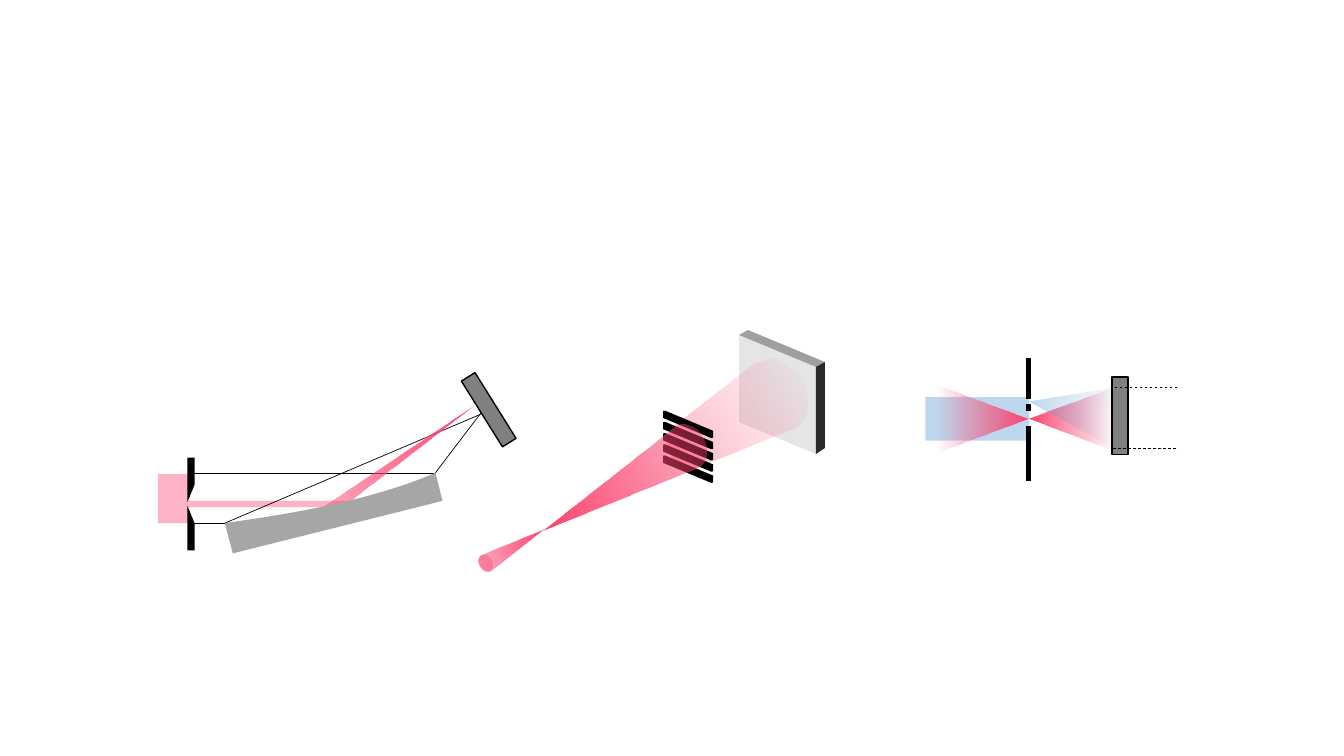
from math import cos, radians, sin
from lxml.etree import SubElement
from pptx import Presentation
from pptx.dml.color import RGBColor
from pptx.enum.dml import MSO_LINE as Dash
from pptx.enum.shapes import MSO_CONNECTOR, MSO_SHAPE as Preset
from pptx.oxml.ns import qn
from pptx.util import Pt

ROSE = RGBColor(0xFC, 0x42, 0x6E)
BLUE = RGBColor(0x5B, 0x9B, 0xD5)
BLACK = RGBColor(0, 0, 0)
DARK = RGBColor(0x2A, 0x2A, 0x2A)
GREY = RGBColor(0x80, 0x80, 0x80)
MIRROR_GREY = RGBColor(0xA6, 0xA6, 0xA6)
TOP_GREY = RGBColor(0x9F, 0x9F, 0x9F)
FRONT_GREY = RGBColor(0xE5, 0xE5, 0xE5)

SOLID_BLACK = [(BLACK, 100)]
PALE_ROSE = [(ROSE, 40)]
BEAM = [(ROSE, 100), (ROSE, 40)]
FADING = [(ROSE, 100), (ROSE, 0)]
RAY = {"width": Pt(0.5)}
DASHED = {"width": Pt(0.5), "dash_style": Dash.DASH}
EDGE = {"width": Pt(1)}

deck = Presentation()
deck.slide_width, deck.slide_height = Pt(960), Pt(540)
page = deck.slides.add_slide(deck.slide_layouts[6])
shapes = page.shapes


def paint(shape, stops, rotation=0, edge=None):
    shape.shadow.inherit = False
    shape.rotation = rotation
    if len(stops) == 1:
        shape.fill.solid()
        shape.fill.fore_color.rgb = stops[0][0]
    else:
        shape.fill.gradient()
        shape.fill.gradient_angle = 270
        for stop, (colour, _) in zip(shape.fill.gradient_stops, stops):
            stop.color.rgb = colour
    for node, (_, alpha) in zip(shape.element.spPr.iter(qn("a:srgbClr")), stops):
        if alpha < 100:
            SubElement(node, qn("a:alpha")).set("val", str(alpha * 1000))
    if edge is None:
        shape.line.fill.background()
    else:
        shape.line.color.rgb = BLACK
        for name, value in edge.items():
            setattr(shape.line, name, value)


def trace(steps, stops, rotation=0):
    points = []
    for step in steps:
        if len(step) == 2:
            points.append(step)
            continue
        x0, y0 = points[-1]
        x1, y1, x2, y2, x3, y3 = step
        for t in [i / 12 for i in range(1, 13)]:
            a, b, c, d = (1 - t) ** 3, 3 * t * (1 - t) ** 2, 3 * t * t * (1 - t), t ** 3
            points.append((a * x0 + b * x1 + c * x2 + d * x3, a * y0 + b * y1 + c * y2 + d * y3))
    co, si = cos(radians(rotation)), sin(radians(rotation))
    upright = [(Pt(x * co + y * si), Pt(y * co - x * si)) for x, y in points]
    builder = shapes.build_freeform(*upright[0], scale=1)
    builder.add_line_segments(upright[1:], close=True)
    shape = builder.convert_to_shape()
    middle_x, middle_y = shape.left + shape.width / 2, shape.top + shape.height / 2
    shape.left = round(middle_x * co - middle_y * si - shape.width / 2)
    shape.top = round(middle_x * si + middle_y * co - shape.height / 2)
    paint(shape, stops, rotation)


rays = [
    (311, 337.7, 343.4, 295.2, RAY),
    (160.6, 373.7, 343.4, 295.9, RAY),
    (136.1, 373.7, 160.6, 373.7, RAY),
    (134.6, 338.4, 311, 338.4, RAY),
    (841, 276.5, 795.6, 276.5, DASHED),
    (840.2, 320.4, 794.2, 320.4, DASHED),
]
mirror = [(311, 337.7), (316.1, 357.8), (166.3, 395.3), (160.6, 373.7), (185, 370.1),
          (236.9, 362.2, 279.4, 351.4, 309.6, 338.4)]
far_cone = [(549.4, 257), (557.3, 256.3, 566.6, 262.1, 572.4, 272.2),
            (579.6, 284.4, 577.4, 299.5, 568.1, 305.3), (566.6, 306), (499, 333.4), (494.6, 334.8),
            (488.9, 334.8, 483.1, 331.2, 479.5, 325.4), (476.6, 319, 475.9, 312.5, 478.8, 308.2),
            (481.7, 305.3), (481, 304.6), (539.3, 259.2), (540.7, 259.2),
            (543.6, 257.8, 546.5, 257, 549.4, 257)]
near_cone = [(487.4, 303.1), (493.2, 303.1, 499, 306.7, 501.8, 312.5),
             (506.9, 320.4, 505.4, 329.8, 499, 333.4), (498.2, 334.1), (387.4, 378.7),
             (481.7, 305.3), (482.4, 304.6), (483.8, 303.8, 486, 303.1, 487.4, 303.1)]
source_cone = [(348.5, 408.2), (346.3, 408.2, 344.2, 406.8, 342.7, 404.6),
               (340.6, 401, 341.3, 397.4, 343.4, 396), (344.2, 396), (388.1, 378),
               (350.6, 407.5), (349.9, 408.2, 349.2, 408.2, 348.5, 408.2)]
front_face = [(527.9, 239.3), (582.9, 262.1), (582.9, 324.3), (527.9, 301.4)]
top_face = [(527.9, 239.3), (534.3, 235.7), (589.3, 258.6), (582.9, 262.1)]
side_face = [(582.9, 262.1), (589.3, 258.6), (589.3, 320), (582.9, 324.3)]

blue_beam = shapes.add_shape(Preset.RECTANGLE, Pt(661), Pt(283.7), Pt(74.2), Pt(31))
paint(blue_beam, [(BLUE, 40)])

trace([(113, 338.4), (134.6, 338.4), (134.6, 357.8), (259.2, 357.8), (259.2, 362.2),
       (134.6, 362.2), (134.6, 373.7), (113, 373.7)], PALE_ROSE)
for tip, shoulder, end in [(361.4, 373.7, 393.1), (358.6, 346.3, 326.9)]:
    trace([(133.9, tip), (139, shoulder), (139, end), (133.9, end)], SOLID_BLACK)

connectors = []
for x1, y1, x2, y2, stroke in rays:
    ray = shapes.add_connector(MSO_CONNECTOR.STRAIGHT, Pt(x1), Pt(y1), Pt(x2), Pt(y2))
    ray.line.color.rgb = BLACK
    for name, value in stroke.items():
        setattr(ray.line, name, value)
    SubElement(ray.element.spPr, qn("a:effectLst"))
    connectors.append(ray)

left_detector = shapes.add_shape(Preset.RECTANGLE, Pt(343.4), Pt(265), Pt(11.5), Pt(55.4))
paint(left_detector, [(GREY, 100)], 328, EDGE)
focus = shapes.add_shape(Preset.ISOSCELES_TRIANGLE, Pt(277.2), Pt(259.2), Pt(9.4), Pt(141.8))
paint(focus, BEAM, 54.4)
trace(mirror, [(MIRROR_GREY, 100)])

for face, colour in [(front_face, FRONT_GREY), (top_face, TOP_GREY), (side_face, DARK)]:
    trace(face, [(colour, 100)])
trace(far_cone, [(ROSE, 0), (ROSE, 40)], 60)
for bar in range(5):
    top = 293.6 + 8 * bar
    trace([(473.6, top), (475, top - 0.3), (509.3, top + 14.1), (509.3, top + 19),
           (508, top + 19.3), (473.6, top + 5)], SOLID_BLACK)
trace(near_cone, BEAM, 240)
trace(source_cone, BEAM, 60)
source = shapes.add_shape(Preset.OVAL, Pt(340.6), Pt(397.4), Pt(13), Pt(9.4))
paint(source, PALE_ROSE, 60)

incoming = shapes.add_shape(Preset.ISOSCELES_TRIANGLE, Pt(677.5), Pt(266.4), Pt(48.2), Pt(65.5))
paint(incoming, FADING, 90)
for top, bottom in [(304.6, 343.4), (288.7, 293.8), (255.6, 285.1)]:
    trace([(733, top), (736.6, top), (736.6, bottom), (733, bottom)], SOLID_BLACK)
trace([(795.6, 276.5), (795.6, 321.8), (734.4, 298.8)], FADING, 270)
trace([(795.6, 276.5), (795.6, 320.4), (734.4, 286.6)], [(BLUE, 40), (BLUE, 0)], 280)
right_detector = shapes.add_shape(Preset.RECTANGLE, Pt(794.2), Pt(269.3), Pt(11.5), Pt(55.4))
paint(right_detector, [(GREY, 100)], 0, EDGE)
for dashed in connectors[-2:]:
    shapes.element.append(dashed.element)

deck.save("out.pptx")
